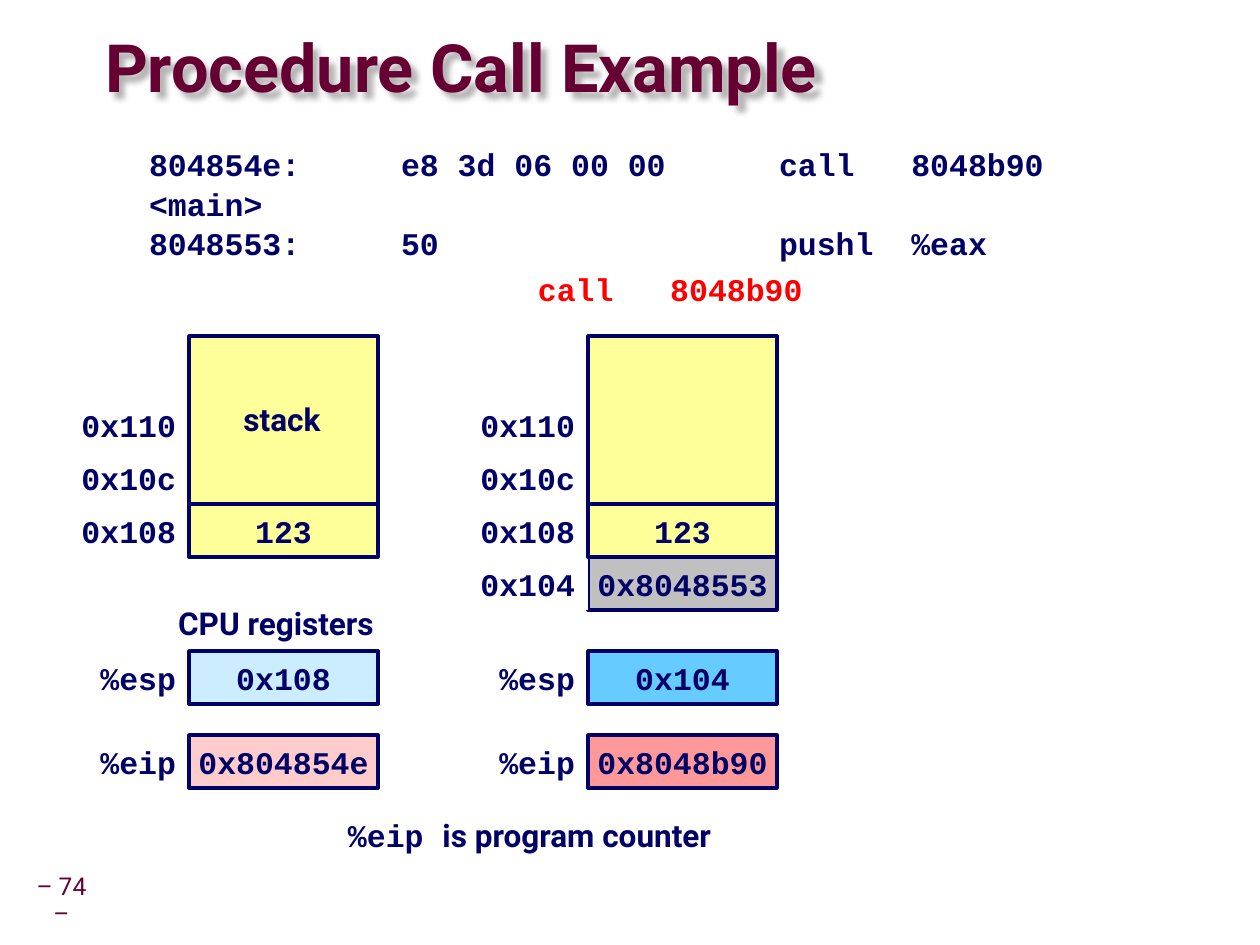
from dataclasses import dataclass

from lxml.etree import SubElement
from pptx import Presentation
from pptx.dml.color import RGBColor
from pptx.enum.shapes import MSO_SHAPE as SHAPE
from pptx.enum.text import MSO_ANCHOR as ANCHOR, PP_ALIGN as ALIGN
from pptx.oxml.ns import qn
from pptx.util import Emu, Pt

PX = 914400 / 126


def px(n):
    return Emu(round(n * PX))


def rgb(color):
    return RGBColor.from_string(color)


@dataclass(frozen=True)
class Theme:
    maroon: str = "660033"
    navy: str = "000066"
    red: str = "FF0000"
    white: str = "FFFFFF"
    yellow: str = "FFFF99"
    grey: str = "C0C0C0"
    pale_blue: str = "CCECFF"
    blue: str = "66CCFF"
    pale_red: str = "FFCCCC"
    rose: str = "FF9999"
    shadow: str = "808080"
    sans: str = "Roboto"
    mono: str = "Courier New"
    title: int = 38
    body: int = 18
    footer: int = 14
    line: int = 2


class Slide:
    def __init__(self, prs, theme):
        self.s = prs.slides.add_slide(prs.slide_layouts[6])
        self.t = theme

    def style(self, font, name, color=None, size=None, bold=True):
        font.name = name
        font.size = Pt(size or self.t.body)
        font.bold = bold
        font.color.rgb = rgb(color or self.t.navy)

    def frame(self, sp, margin=0, anchor=ANCHOR.MIDDLE):
        tf = sp.text_frame
        tf.word_wrap = True
        tf.margin_left = tf.margin_right = px(margin)
        tf.margin_top = tf.margin_bottom = 0
        tf.vertical_anchor = anchor
        return tf

    def text(self, x, y, w, h, lines, name, color=None, size=None, bold=True,
             align=ALIGN.LEFT, spacing=1.0, tabs=(), anchor=ANCHOR.TOP):
        sp = self.s.shapes.add_textbox(px(x), px(y), px(w), px(h))
        tf = self.frame(sp, anchor=anchor)
        for i, line in enumerate(lines):
            p = tf.paragraphs[0] if i == 0 else tf.add_paragraph()
            p.text = line
            p.alignment = align
            p.line_spacing = spacing
            if tabs:
                stops = SubElement(p._p.get_or_add_pPr(), qn("a:tabLst"))
                for pos in tabs:
                    SubElement(stops, qn("a:tab"), pos=str(px(pos)), algn="l")
            self.style(p.font, name, color, size, bold)
        return sp

    def title(self, x, y, w, h, text):
        sp = self.text(x, y, w, h, [text], self.t.sans, self.t.maroon,
                       self.t.title, spacing=0.87, anchor=ANCHOR.MIDDLE)
        effects = SubElement(sp._element.spPr, qn("a:effectLst"))
        shadow = SubElement(effects, qn("a:outerShdw"), blurRad=str(px(6)),
                            dist=str(px(8)), dir="2700000", algn="tl")
        color = SubElement(shadow, qn("a:srgbClr"), val=self.t.shadow)
        SubElement(color, qn("a:alpha"), val="60000")

    def mixed(self, x, y, w, h, parts):
        sp = self.s.shapes.add_textbox(px(x), px(y), px(w), px(h))
        p = self.frame(sp, anchor=ANCHOR.TOP).paragraphs[0]
        for text, name in parts:
            r = p.add_run()
            r.text = text
            self.style(r.font, name)

    def box(self, x, y, w, h, text, fill, align=ALIGN.CENTER, outlined=True,
            margin=2):
        sp = self.s.shapes.add_shape(SHAPE.RECTANGLE, px(x), px(y), px(w), px(h))
        sp.shadow.inherit = False
        sp.fill.solid()
        sp.fill.fore_color.rgb = rgb(fill)
        if outlined:
            sp.line.color.rgb = rgb(self.t.navy)
            sp.line.width = Pt(self.t.line)
        else:
            sp.line.fill.background()
        if text:
            p = self.frame(sp, margin).paragraphs[0]
            p.text = text
            p.alignment = align
            self.style(p.font, self.t.mono)

    def label(self, x, y, w, h, text):
        self.box(x, y, w, h, text, self.t.white, ALIGN.RIGHT, False, 13)


COL, ROW = 189, 53
STACK_TOP, TOP_WORD = 336, 504
ESP_Y, EIP_Y = 651, 735


def machine_state(slide, x, esp, eip, pushed=None):
    """One column: the stack with its addresses, then the two registers."""
    t = slide.t
    addresses = ["0x110", "0x10c", "0x108"]
    if pushed:
        addresses.append("0x104")
        slide.box(x, TOP_WORD + ROW, COL, ROW, pushed, t.grey)
    for i, address in enumerate(addresses):
        slide.label(x - COL, TOP_WORD + (i - 2) * ROW, COL, ROW, address)
    slide.box(x, TOP_WORD, COL, ROW, "123", t.yellow)
    slide.box(x, STACK_TOP, COL, TOP_WORD - STACK_TOP, "", t.yellow)
    for name, y, (value, fill) in (("%esp", ESP_Y, esp), ("%eip", EIP_Y, eip)):
        slide.label(x - COL, y, COL, ROW, name)
        slide.box(x, y, COL, ROW, value, fill)


def main():
    prs = Presentation()
    prs.slide_width, prs.slide_height = px(1260), px(945)
    t = Theme()
    slide = Slide(prs, t)

    # Page number and title
    slide.text(30, 875, 63, 52, ["– 74 –"], t.sans, t.maroon, t.footer, False,
               ALIGN.CENTER, 0.9, anchor=ANCHOR.MIDDLE)
    slide.title(105, 32, 1103, 79, "Procedure Call Example")

    # Machine state before and after the call
    machine_state(slide, 189, ("0x108", t.pale_blue), ("0x804854e", t.pale_red))
    machine_state(slide, 588, ("0x104", t.blue), ("0x8048b90", t.rose),
                  pushed="0x8048553")

    # Disassembly and the instruction executed
    slide.text(149, 143, 964, 114,
               ["804854e:\te8 3d 06 00 00\tcall   8048b90 <main>",
                "8048553:\t50\tpushl  %eax"],
               t.mono, spacing=1.05, tabs=(252, 630))
    slide.text(538, 270, 290, 38, ["call   8048b90"], t.mono, t.red)

    # Captions
    slide.text(231, 404, 102, 36, ["stack"], t.sans,
               align=ALIGN.CENTER, spacing=0.9)
    slide.text(166, 608, 220, 36, ["CPU registers"], t.sans,
               align=ALIGN.CENTER, spacing=0.9)
    slide.mixed(348, 816, 400, 38,
                [("%eip ", t.mono), ("is program counter", t.sans)])

    prs.save("out.pptx")


if __name__ == "__main__":
    main()
